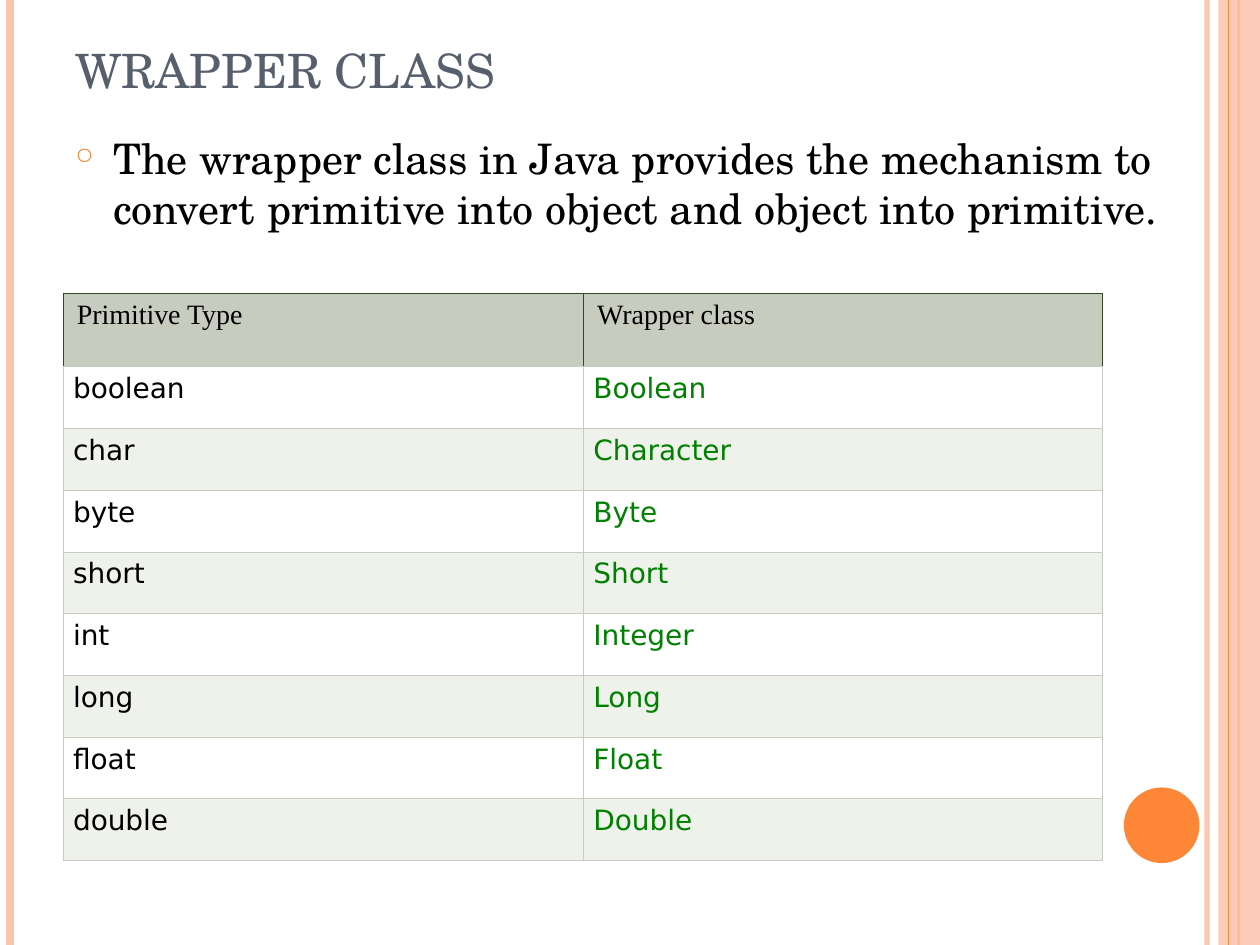
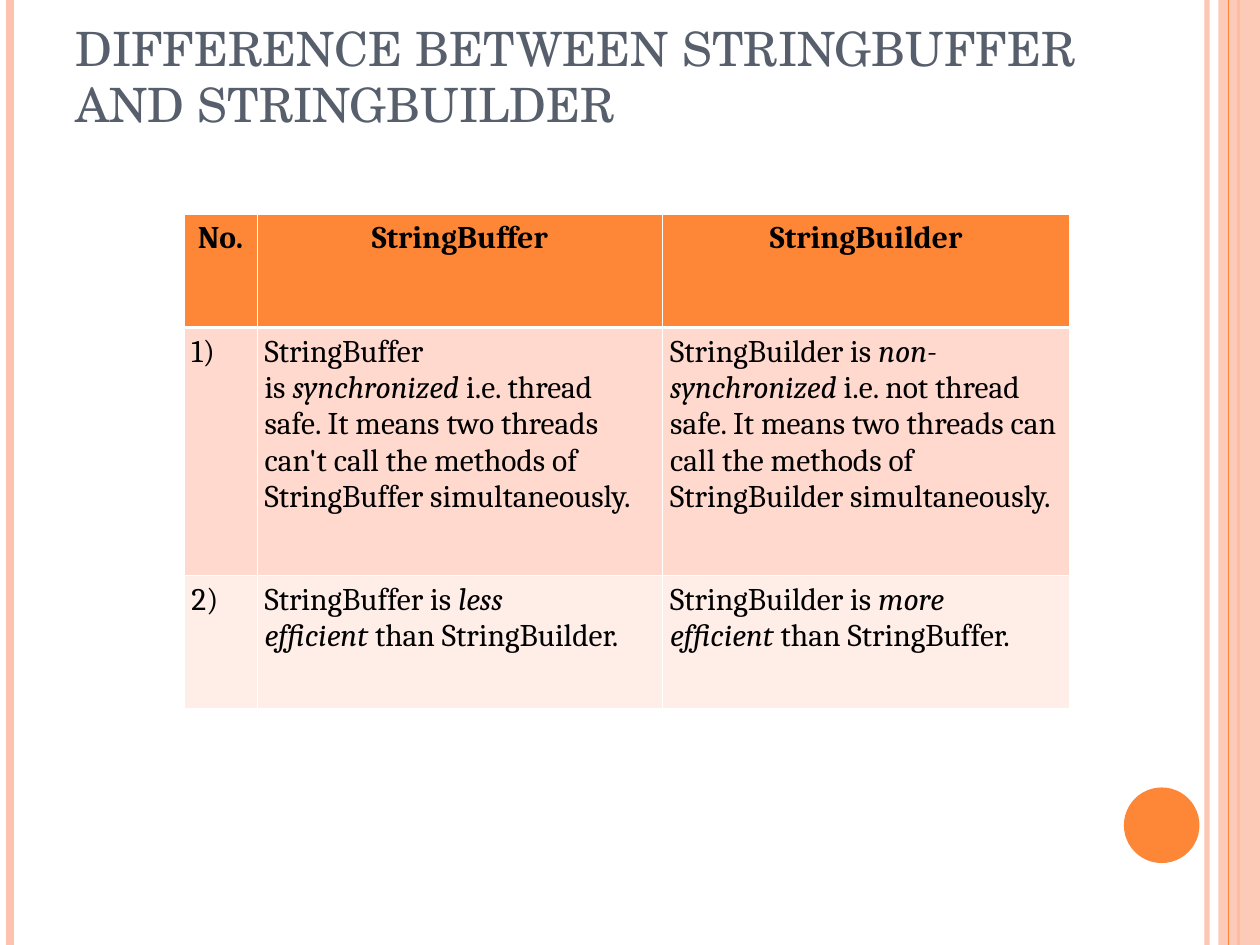
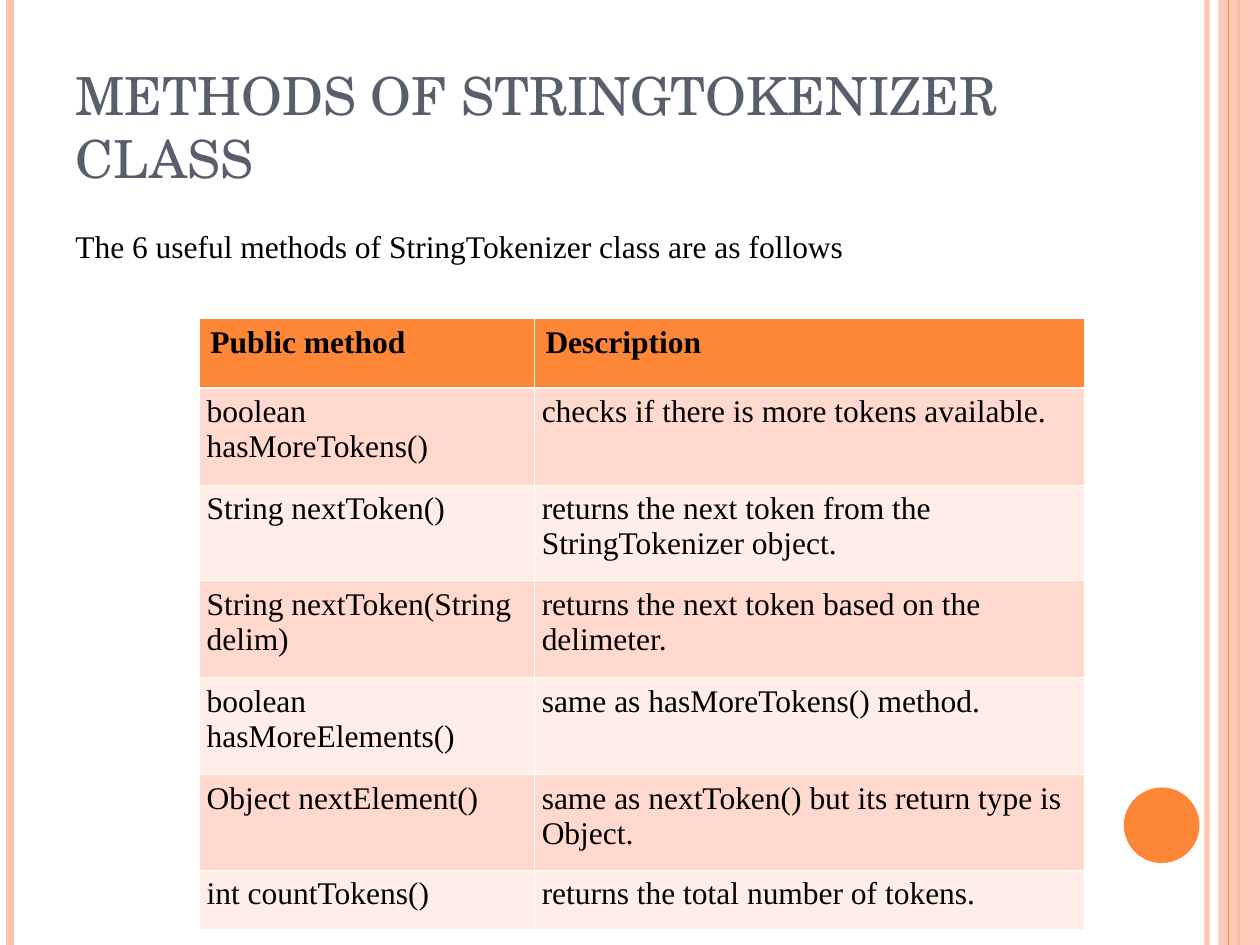
from dataclasses import dataclass

from lxml import etree
from pptx import Presentation
from pptx.dml.color import RGBColor
from pptx.enum.shapes import MSO_CONNECTOR, MSO_SHAPE
from pptx.enum.text import MSO_ANCHOR, PP_ALIGN
from pptx.oxml.ns import qn
from pptx.util import Pt

EMU_PER_PX = 9144
SLIDE_WIDTH, SLIDE_HEIGHT = 1000, 750
NO_BREAK_SPACE = chr(160)

STRAIGHT = MSO_CONNECTOR.STRAIGHT
RECTANGLE, OVAL = MSO_SHAPE.RECTANGLE, MSO_SHAPE.OVAL
TOP, BOTTOM = MSO_ANCHOR.TOP, MSO_ANCHOR.BOTTOM
LEFT, CENTER = PP_ALIGN.LEFT, PP_ALIGN.CENTER

BLACK = RGBColor(0x00, 0x00, 0x00)
WHITE = RGBColor(0xFF, 0xFF, 0xFF)
ORANGE = RGBColor(0xFE, 0x86, 0x37)
PEACH = RGBColor(0xFE, 0xC3, 0xAE)
PINK = RGBColor(0xFF, 0xD9, 0xCE)
PALE_PINK = RGBColor(0xFF, 0xED, 0xE8)
SLATE = RGBColor(0x57, 0x5F, 0x6D)
SAGE = RGBColor(0xC7, 0xCC, 0xBE)
PALE_SAGE = RGBColor(0xEF, 0xF1, 0xEB)
FOREST = RGBColor(0x30, 0x4B, 0x21)
GREEN = RGBColor(0x00, 0x80, 0x00)

SCHOLA = "TeX Gyre Schola"
TIMES = "Times New Roman"
CAMBRIA = "Cambria"
DEJAVU = "DejaVu Sans"

PRIMITIVES = [
    ("Primitive Type", "Wrapper class"),
    ("boolean", "Boolean"),
    ("char", "Character"),
    ("byte", "Byte"),
    ("short", "Short"),
    ("int", "Integer"),
    ("long", "Long"),
    ("float", "Float"),
    ("double", "Double"),
]
DIFFERENCES = [
    ("No.", "StringBuffer", "StringBuilder"),
    ("1)",
     "StringBuffer is|synchronized|i.e. thread safe. It means two threads "
     "can't call the methods of StringBuffer simultaneously.",
     "StringBuilder is|non-synchronized|i.e. not thread safe. It means two "
     "threads can call the methods of StringBuilder simultaneously."),
    ("2)",
     "StringBuffer is|less efficient|than StringBuilder.",
     "StringBuilder is|more efficient|than StringBuffer."),
]
TOKENIZER_METHODS = [
    ("Public method", "Description"),
    ("boolean hasMoreTokens()", "checks if there is more tokens available."),
    ("String nextToken()",
     "returns the next token from the StringTokenizer object."),
    ("String nextToken(String delim)",
     "returns the next token based on the delimeter."),
    ("boolean hasMoreElements()", "same as hasMoreTokens() method."),
    ("Object nextElement()",
     "same as nextToken() but its return type is Object."),
    ("int countTokens()", "returns the total number of tokens."),
]


@dataclass
class TableLook:
    header_fill: RGBColor
    bands: tuple
    header_font: str
    body_font: str
    size: int
    header_bold: bool
    header_align: int
    header_pad: int
    body_pad: int
    edge: RGBColor
    header_edge: RGBColor
    edge_width: float
    rule_width: float
    last_column_color: RGBColor = BLACK


SAGE_LOOK = TableLook(SAGE, (WHITE, PALE_SAGE), TIMES, DEJAVU, 16, False, LEFT,
                      11, 8, SAGE, FOREST, 0.34, 0.34, GREEN)


def orange_look(font, header_align):
    return TableLook(ORANGE, (PINK, PALE_PINK), font, font, 18, True,
                     header_align, 9, 6, WHITE, WHITE, 0.45, 1.47)


def px(length):
    return length * EMU_PER_PX


def set_opacity(properties, percent):
    color = properties.find(".//" + qn("a:srgbClr"))
    etree.SubElement(color, qn("a:alpha"), val=str(percent * 1000))


def style_run(run, font, size, color, bold=False, italic=False):
    run.font.name = font
    run.font.size = Pt(size)
    run.font.color.rgb = color
    run.font.bold = bold
    run.font.italic = italic


def add_stripe(slide, x, color, width, opacity=100):
    stripe = slide.shapes.add_connector(STRAIGHT, px(x), 0, px(x), px(SLIDE_HEIGHT))
    stripe.line.color.rgb = color
    stripe.line.width = Pt(width)
    properties = stripe._element.spPr
    if opacity < 100:
        set_opacity(properties, opacity)
    etree.SubElement(properties, qn("a:effectLst"))


def add_block(slide, preset, left, top, width, height, color, opacity=100):
    block = slide.shapes.add_shape(preset, px(left), px(top), px(width), px(height))
    block.shadow.inherit = False
    block.fill.solid()
    block.fill.fore_color.rgb = color
    block.line.fill.background()
    if opacity < 100:
        set_opacity(block._element.spPr, opacity)


def add_text(slide, box, text, font, size, color, anchor=TOP):
    frame = slide.shapes.add_textbox(*map(px, box)).text_frame
    frame.word_wrap = True
    frame.vertical_anchor = anchor
    paragraph = frame.paragraphs[0]
    paragraph.text = text
    style_run(paragraph.runs[0], font, size, color)
    return paragraph


def add_bullet(paragraph, symbol, color, percent, indent):
    properties = paragraph._p.get_or_add_pPr()
    properties.set("marL", str(px(indent)))
    properties.set("indent", str(-px(indent)))
    bullet_color = etree.SubElement(properties, qn("a:buClr"))
    etree.SubElement(bullet_color, qn("a:srgbClr"), val=str(color))
    etree.SubElement(properties, qn("a:buSzPct"), val=str(percent * 1000))
    etree.SubElement(properties, qn("a:buChar"), char=symbol)


def add_title(slide, text, size=27, top=30, height=125):
    add_text(slide, (50, top, 817, height), text, SCHOLA, size, SLATE, BOTTOM)


def add_framed_slide(deck):
    slide = deck.slides.add_slide(deck.slide_layouts[6])
    add_stripe(slide, 958, PEACH, 3, 93)
    add_stripe(slide, 8, PEACH, 4.5)
    add_stripe(slide, 983, ORANGE, 1.5)
    add_block(slide, RECTANGLE, 967, 0, 33, SLIDE_HEIGHT, PEACH, 87)
    add_stripe(slide, 975, ORANGE, 0.75)
    add_block(slide, OVAL, 892, 625, 60, 60, ORANGE)
    return slide


def set_border(cell, side, color, width):
    border = etree.SubElement(cell._tc.get_or_add_tcPr(), qn("a:ln" + side),
                              w=str(Pt(width)))
    fill = etree.SubElement(border, qn("a:solidFill"))
    etree.SubElement(fill, qn("a:srgbClr"), val=str(color))


def fill_cell(cell, text, row, is_last_column, look):
    is_header = row == 0
    edge = look.header_edge if is_header else look.edge
    top_width = look.rule_width if row == 1 else look.edge_width
    bottom_width = look.rule_width if is_header else look.edge_width
    set_border(cell, "L", edge, look.edge_width)
    set_border(cell, "R", edge, look.edge_width)
    set_border(cell, "T", edge, top_width)
    set_border(cell, "B", look.edge, bottom_width)
    cell.fill.solid()
    cell.fill.fore_color.rgb = look.header_fill if is_header else look.bands[(row - 1) % 2]
    cell.margin_left = cell.margin_right = px(look.header_pad if is_header else look.body_pad)
    cell.margin_top = cell.margin_bottom = px(5)
    paragraph = cell.text_frame.paragraphs[0]
    paragraph.alignment = look.header_align if is_header else LEFT
    font = look.header_font if is_header else look.body_font
    color = look.last_column_color if is_last_column and not is_header else BLACK
    spaced = text.replace("|", NO_BREAK_SPACE + "|", 1)
    before, bar, after = spaced.rpartition("|")
    if bar:
        spaced = before + bar + NO_BREAK_SPACE + after
    for position, part in enumerate(spaced.split("|")):
        run = paragraph.add_run()
        run.text = part
        style_run(run, font, look.size, color, is_header and look.header_bold,
                  position == 1)


def add_styled_table(slide, left, top, widths, heights, content, look):
    table = slide.shapes.add_table(len(heights), len(widths), px(left), px(top),
                                   px(sum(widths)), px(sum(heights))).table
    table.horz_banding = False
    for column, width in zip(table.columns, widths):
        column.width = px(width)
    for row, (height, texts) in enumerate(zip(heights, content)):
        table.rows[row].height = px(height)
        for column, text in enumerate(texts):
            fill_cell(table.cell(row, column), text, row,
                      column == len(widths) - 1, look)


def build_wrapper_class(deck):
    slide = add_framed_slide(deck)
    add_title(slide, "WRAPPER CLASS", height=53)
    purpose = add_text(slide, (50, 100, 892, 608),
                       "The wrapper class in Java provides the mechanism to convert "
                       "primitive into object and object into primitive.",
                       SCHOLA, 24, BLACK)
    add_bullet(purpose, "○", ORANGE, 55, 30)
    add_styled_table(slide, 50, 233, [413, 412], [58] + [49] * 8, PRIMITIVES, SAGE_LOOK)


def build_buffer_and_builder(deck):
    slide = add_framed_slide(deck)
    add_title(slide, "DIFFERENCE BETWEEN STRINGBUFFER AND STRINGBUILDER",
              top=10, height=100)
    add_styled_table(slide, 146, 170, [58, 322, 323], [90, 197, 105], DIFFERENCES,
                     orange_look(CAMBRIA, CENTER))


def build_tokenizer_methods(deck):
    slide = add_framed_slide(deck)
    add_title(slide, "METHODS OF STRINGTOKENIZER CLASS", size=30)
    add_text(slide, (50, 175, 817, 533),
             "The 6 useful methods of StringTokenizer class are as follows",
             TIMES, 18, BLACK)
    add_styled_table(slide, 158, 253, [266, 437], [55, 77, 76, 77, 77, 76, 47],
                     TOKENIZER_METHODS, orange_look(TIMES, LEFT))


def main():
    deck = Presentation()
    deck.slide_width = px(SLIDE_WIDTH)
    deck.slide_height = px(SLIDE_HEIGHT)
    build_wrapper_class(deck)
    build_buffer_and_builder(deck)
    build_tokenizer_methods(deck)
    deck.save("out.pptx")


if __name__ == "__main__":
    main()
